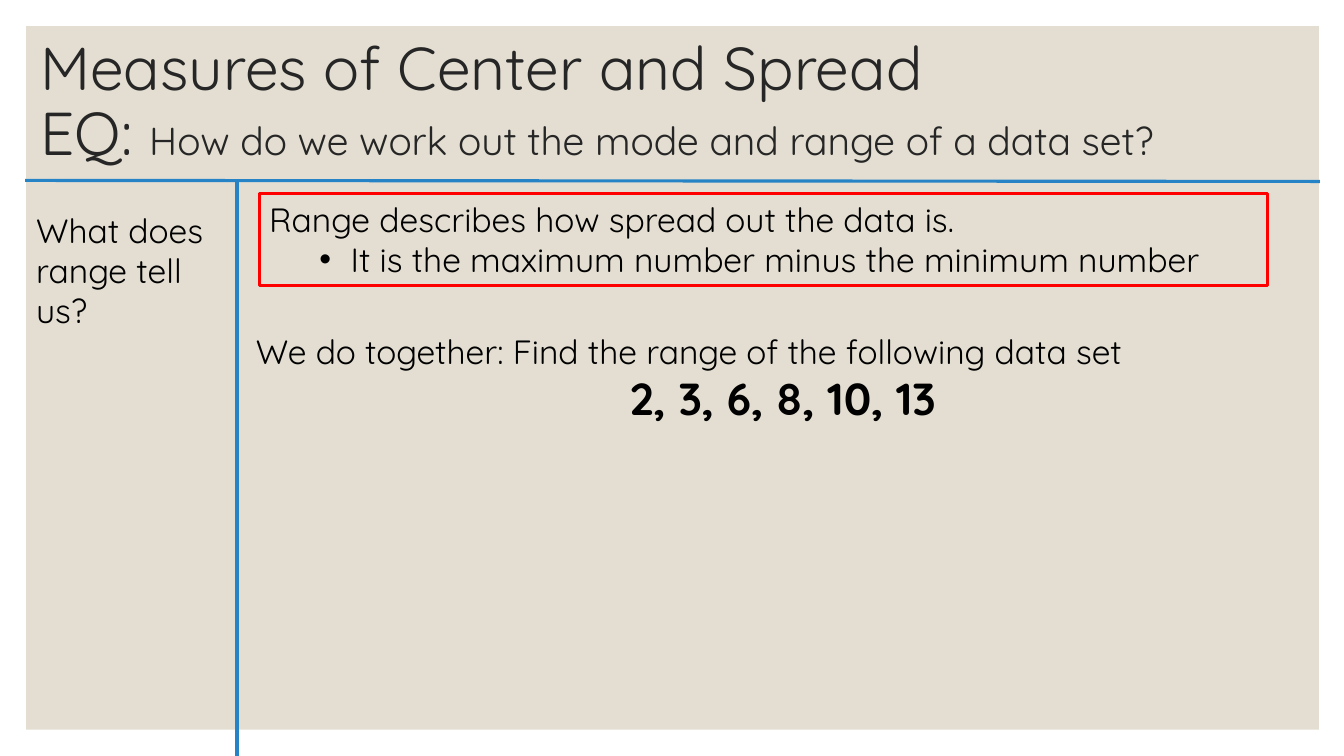
"""Build a lesson slide about the range of a data set."""
from lxml.etree import SubElement
from pptx import Presentation
from pptx.dml.color import RGBColor
from pptx.enum.shapes import MSO_CONNECTOR, MSO_SHAPE
from pptx.enum.text import MSO_ANCHOR, PP_ALIGN
from pptx.oxml.ns import qn
from pptx.util import Inches, Pt

FONT = "Quicksand"
SAND = RGBColor(0xE3, 0xDE, 0xD1)
CHARCOAL = RGBColor(0x26, 0x26, 0x26)
BLACK = RGBColor(0, 0, 0)
BLUE = RGBColor(0x26, 0x83, 0xC6)
RED = RGBColor(0xFF, 0, 0)

PANEL = (0.26, 0.26, 12.82, 6.98)
TITLE_AREA = (0.3, 0.3, 12.74, 1.45)
TITLE_LINES = [
    [("Measures of Center and Spread", 43.2)],
    [("EQ: ", 43.2), ("How do we work out the mode and range of a data set?", 27.9)],
]
RULES = [(2.35, 1.79, 2.35, 7.5), (0.25, 1.79, 13.09, 1.8)]
QUESTION_AREA = (0.26, 2.03, 2.09, 1.31)
QUESTION = "What does range tell us?"
DEFINITION_AREA = (2.57, 1.92, 10, 0.91)
DEFINITION = "Range describes how spread out the data is."
DEFINITION_BULLET = "It is the maximum number minus the minimum number"
TASK_AREA = (2.44, 3.23, 10.65, 1.04)
TASK = "We do together: Find the range of the following data set"
DATA_SET = "2, 3, 6, 8, 10, 13"


def add_span(para, text, size=24, color=BLACK, bold=False):
    span = para.add_run()
    span.text = text
    span.font.name = FONT
    span.font.size = Pt(size)
    span.font.color.rgb = color
    span.font.bold = bold


def add_box(page, area):
    box = page.shapes.add_textbox(*map(Inches, area))
    box.text_frame.word_wrap = True
    return box


def add_rectangle(page, area):
    box = page.shapes.add_shape(MSO_SHAPE.RECTANGLE, *map(Inches, area))
    box.shadow.inherit = False
    return box


def add_bullet(para):
    properties = para._p.get_or_add_pPr()
    properties.set("marL", str(Inches(0.81)))
    properties.set("indent", str(Inches(-0.31)))
    SubElement(properties, qn("a:buFont")).set("typeface", "Arial")
    SubElement(properties, qn("a:buChar")).set("char", "•")


def add_title(page):
    frame = add_box(page, TITLE_AREA).text_frame
    frame.vertical_anchor = MSO_ANCHOR.MIDDLE
    para = frame.paragraphs[0]
    para.line_spacing = 0.9
    for number, line in enumerate(TITLE_LINES):
        if number:
            para.add_line_break()
        for text, size in line:
            add_span(para, text, size, CHARCOAL)


def add_rule(page, ends):
    rule = page.shapes.add_connector(MSO_CONNECTOR.STRAIGHT, *map(Inches, ends))
    rule.line.color.rgb = BLUE
    rule.line.width = Pt(2.25)
    SubElement(rule._element.spPr, qn("a:effectLst"))


def add_definition(page):
    box = add_rectangle(page, DEFINITION_AREA)
    box.fill.background()
    box.line.color.rgb = RED
    box.line.width = Pt(2.25)
    frame = box.text_frame
    frame.word_wrap = True
    frame.vertical_anchor = MSO_ANCHOR.TOP
    para = frame.paragraphs[0]
    para.alignment = PP_ALIGN.LEFT
    add_span(para, DEFINITION)
    para = frame.add_paragraph()
    para.alignment = PP_ALIGN.LEFT
    para.level = 1
    add_bullet(para)
    add_span(para, DEFINITION_BULLET)


def add_task(page):
    frame = add_box(page, TASK_AREA).text_frame
    add_span(frame.paragraphs[0], TASK)
    para = frame.add_paragraph()
    para.alignment = PP_ALIGN.CENTER
    add_span(para, DATA_SET, 32, bold=True)


def main():
    deck = Presentation()
    deck.slide_width, deck.slide_height = Inches(13.33), Inches(7.5)
    page = deck.slides.add_slide(deck.slide_layouts[6])
    panel = add_rectangle(page, PANEL)
    panel.fill.solid()
    panel.fill.fore_color.rgb = SAND
    panel.line.fill.background()
    add_title(page)
    for ends in RULES:
        add_rule(page, ends)
    add_span(add_box(page, QUESTION_AREA).text_frame.paragraphs[0], QUESTION)
    add_definition(page)
    add_task(page)
    deck.save("out.pptx")


if __name__ == "__main__":
    main()
